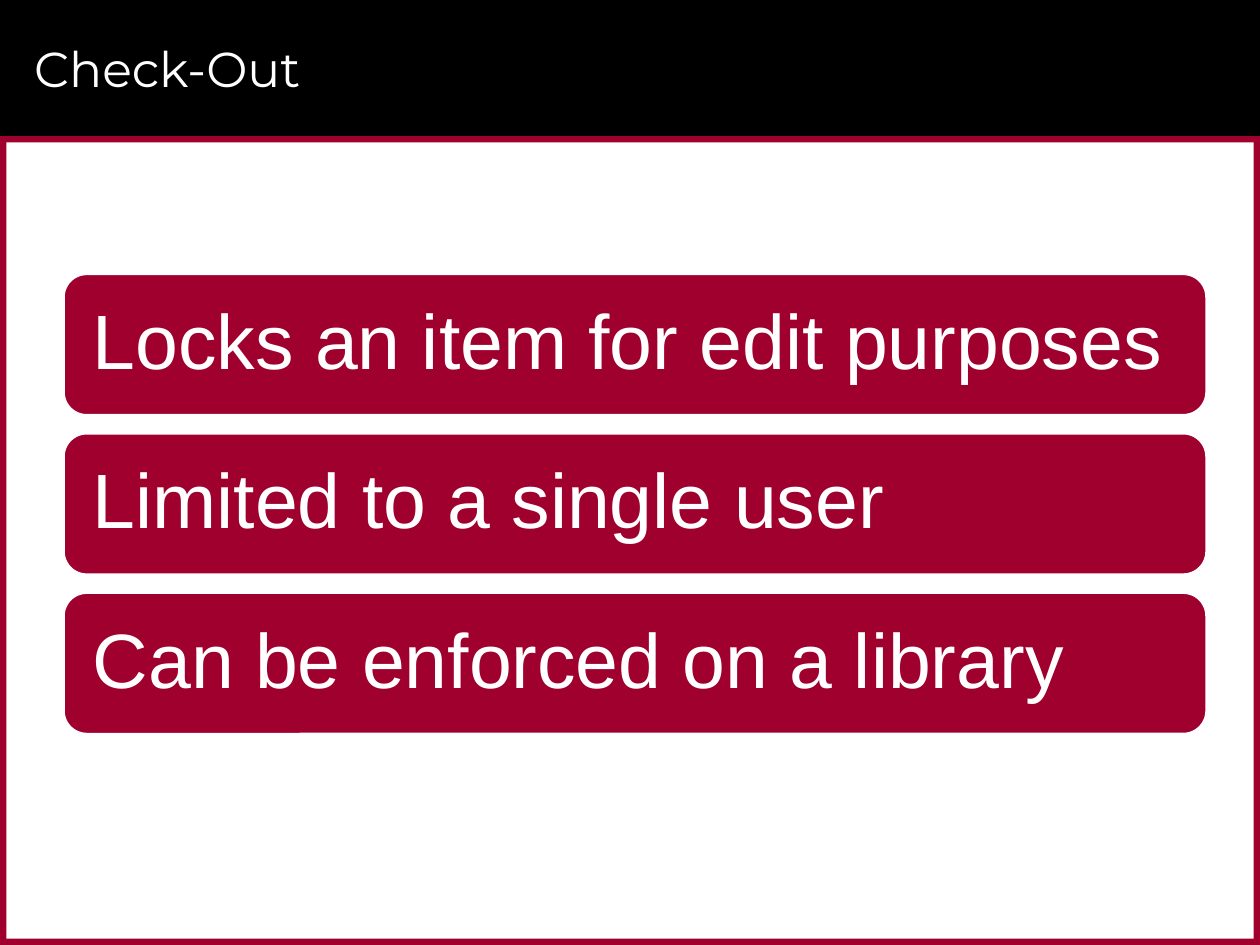
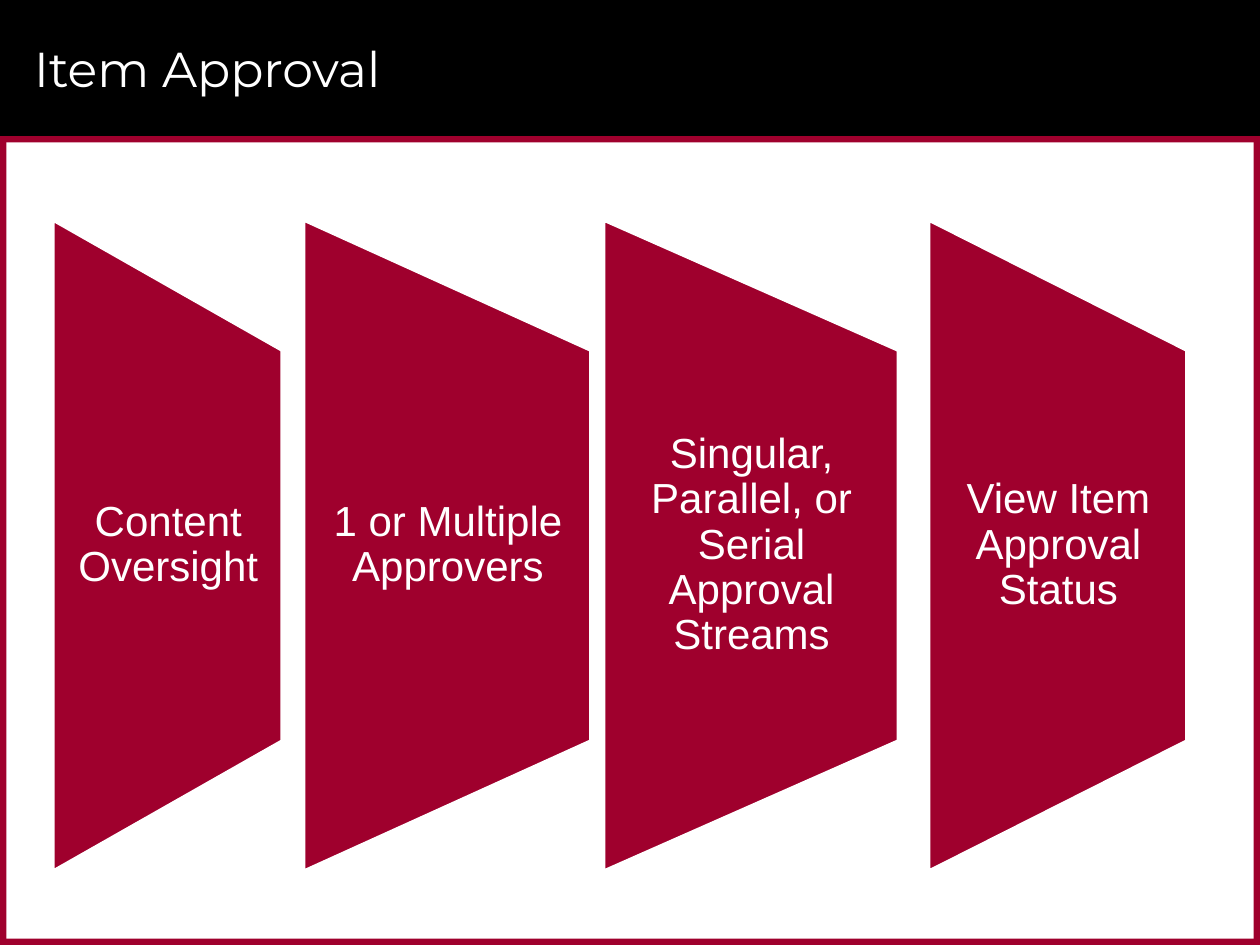
from pptx import Presentation
from pptx.dml.color import RGBColor
from pptx.enum.shapes import MSO_SHAPE
from pptx.enum.text import MSO_ANCHOR, MSO_AUTO_SIZE, PP_ALIGN
from pptx.util import Inches, Pt

RECT = MSO_SHAPE.RECTANGLE
ROUNDED = MSO_SHAPE.ROUNDED_RECTANGLE
TRAPEZOID = MSO_SHAPE.FLOWCHART_MANUAL_OPERATION
MIDDLE = MSO_ANCHOR.MIDDLE
LEFT, CENTER = PP_ALIGN.LEFT, PP_ALIGN.CENTER
BLACK, WHITE, CRIMSON = "000000", "FFFFFF", "9F002D"

W, H = 10, 7.5
HEADER_H, BORDER = 1.08, 0.05
FRAME_H = H - HEADER_H

prs = Presentation()
prs.slide_width, prs.slide_height = Inches(W), Inches(H)


def add_block(s, kind, box, color, outlined=False):
    sp = s.shapes.add_shape(kind, *map(Inches, box))
    sp.shadow.inherit = False
    sp.fill.solid()
    sp.fill.fore_color.rgb = RGBColor.from_string(color)
    if outlined:
        sp.line.color.rgb = RGBColor.from_string(WHITE)
        sp.line.width = Pt(2)
    else:
        sp.line.fill.background()
    return sp


def write(sp, text, size, font, align, insets, spacing=None):
    """Fill a shape with one white paragraph; insets are left, top, right, bottom."""
    tf = sp.text_frame
    tf.word_wrap = True
    tf.auto_size = MSO_AUTO_SIZE.NONE
    tf.vertical_anchor = MIDDLE
    tf.margin_left, tf.margin_top, tf.margin_right, tf.margin_bottom = map(Inches, insets)
    p = tf.paragraphs[0]
    p.alignment = align
    p.line_spacing = spacing
    r = p.add_run()
    r.text = text
    r.font.size = Pt(size)
    r.font.name = font
    r.font.color.rgb = RGBColor.from_string(WHITE)


# Header, frame and title of every slide
bands = [
    ((0, 0, W, HEADER_H), BLACK),
    ((0, HEADER_H, W, BORDER), CRIMSON),
    ((0, H - BORDER, W, BORDER), CRIMSON),
    ((W - BORDER, HEADER_H, BORDER, FRAME_H), CRIMSON),
    ((0, HEADER_H, BORDER, FRAME_H), CRIMSON),
]
slides = []
for heading in ["Check-Out", "Item Approval"]:
    s = prs.slides.add_slide(prs.slide_layouts[5])
    for box, color in bands:
        add_block(s, RECT, box, color)
    title = s.shapes.title
    title.left, title.top, title.width, title.height = map(Inches, (0.17, 0.08, 9.42, 0.92))
    write(title, heading, 28, "Montserrat", LEFT, (0.1, 0.05, 0.1, 0.05))
    s.shapes._spTree.append(title._element)  # in front of the header band
    slides.append(s)
check_out, approval = slides

# Check-Out: three stacked bars
bar_top, bar_h, bar_gap = 2.17, 1.13, 0.135
bars = ["Locks an item for edit purposes", "Limited to a single user", "Can be enforced on a library"]
for row, text in enumerate(bars):
    top = bar_top + row * (bar_h + bar_gap)
    sp = add_block(check_out, ROUNDED, (0.5, top, 9.08, bar_h), CRIMSON, outlined=True)
    write(sp, text, 44, "Arial", LEFT, (0.18,) * 4, 0.9)

# Item Approval: four trapezoids turned on their side, each with upright text
panel_h, text_h, mid_y = 5.17, 3.1, 4.33
panels = [
    (0.42, 1.82, "Content Oversight"),
    (2.41, 2.28, "1 or Multiple Approvers"),
    (4.79, 2.34, "Singular, Parallel, or Serial Approval Streams"),
    (7.37, 2.05, "View Item Approval Status"),
]
for left, width, text in panels:
    box = (left + (width - panel_h) / 2, mid_y - width / 2, panel_h, width)
    sp = add_block(approval, TRAPEZOID, box, CRIMSON, outlined=True)
    sp.rotation = 270
    label = approval.shapes.add_textbox(
        Inches(left), Inches(mid_y - text_h / 2), Inches(width), Inches(text_h))
    write(label, text, 24, "Arial", CENTER, (0.17, 0, 0.16, 0), 0.9)

prs.save("out.pptx")
